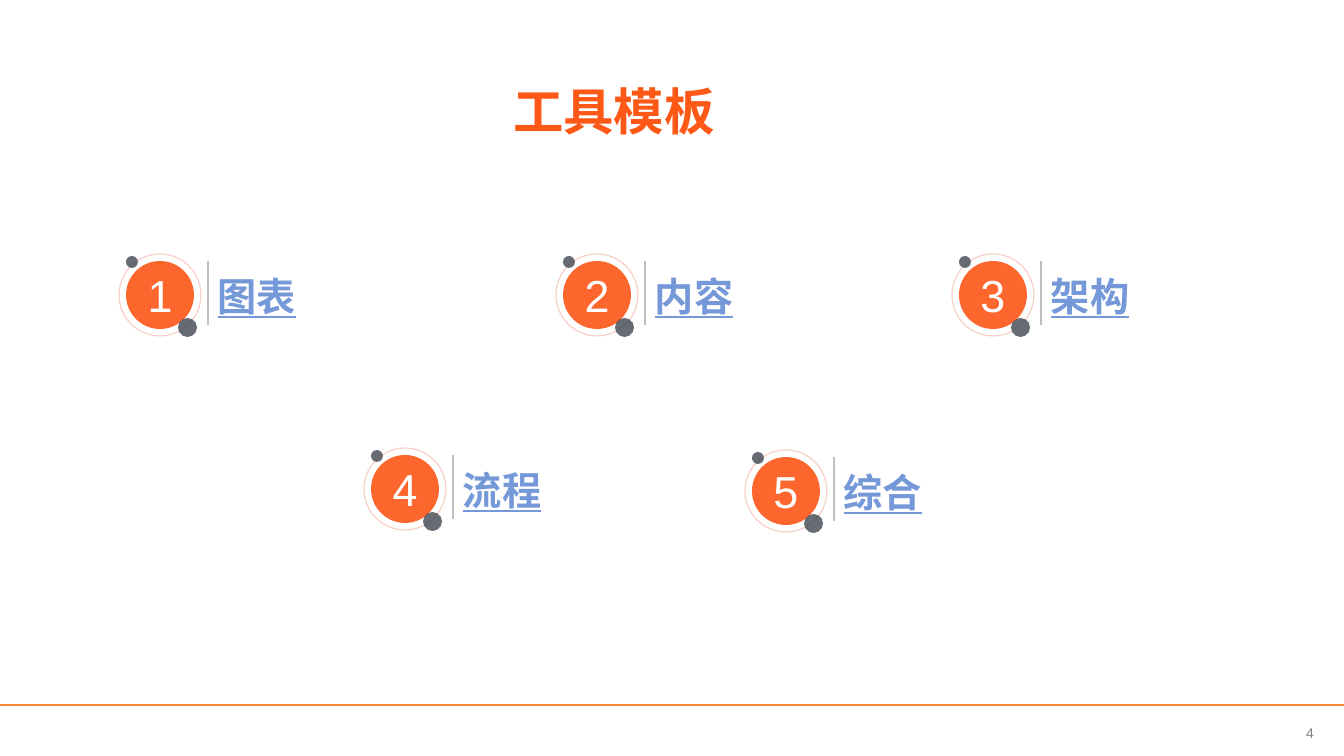
from lxml import etree
from pptx import Presentation
from pptx import util as u
from pptx.dml.color import RGBColor
from pptx.enum import shapes, text
from pptx.oxml import ns

PX = 9144000 / 1008
ORANGE = RGBColor(0xFD, 0x67, 0x2D)
TITLE = RGBColor(0xFE, 0x58, 0x17)
RULE = RGBColor(0xFE, 0x86, 0x37)
PINK = RGBColor(0xF8, 0xCF, 0xC8)
SLATE = RGBColor(0x41, 0x47, 0x52)
BLUE = RGBColor(0x75, 0x98, 0xD9)
SILVER = RGBColor(0xBF, 0xBF, 0xBF)
GRAY = RGBColor(0x80, 0x80, 0x80)
WHITE = RGBColor(0xFF, 0xFF, 0xFF)
CJK = "Noto Sans CJK SC"
MID = text.PP_ALIGN.CENTER

deck = Presentation()
deck.slide_width, deck.slide_height = u.Emu(12192000), u.Emu(6858000)
slide = deck.slides.add_slide(deck.slide_layouts[6])


def px(*nums):
    return [u.Emu(round(n * PX)) for n in nums]


def write(shape, words, size, color, align=MID, face="Arial", **style):
    frame = shape.text_frame
    para = frame.paragraphs[0]
    para.alignment = align
    run = para.add_run()
    run.text = words
    font = run.font
    font.color.rgb = color
    for key, val in dict(name=face, size=u.Pt(size), **style).items():
        setattr(font, key, val)
    if face == CJK:
        east = etree.SubElement(run._r.get_or_add_rPr(), ns.qn("a:ea"))
        east.set("typeface", CJK)
    return frame


lines = [(0, 705, 1344, 705, RULE)]
number = slide.shapes.add_textbox(*px(1276, 710, 68, 46))
frame = write(number, "4", 10, GRAY)
frame.vertical_anchor = text.MSO_ANCHOR.MIDDLE
for side in ("left", "top", "right", "bottom"):
    setattr(frame, "margin_" + side, 0)

title = slide.shapes.add_textbox(*px(502, 75, 224, 71))
write(title, "工具模板", 36, TITLE, face=CJK, bold=True).word_wrap = False

items = [
    (119, 254, "图表"),
    (556, 254, "内容"),
    (952, 254, "架构"),
    (364, 448, "流程"),
    (745, 450, "综合"),
]
ovals = [
    (7, 7, 68, ORANGE, None),
    (0, 0, 82, None, PINK),
    (59, 64, 19, SLATE, None),
    (7, 2, 12, SLATE, None),
]
for index, (left, top, label) in enumerate(items, 1):
    badge = slide.shapes.add_group_shape()
    for x, y, size, fill, edge in ovals:
        oval = badge.shapes.add_shape(
            shapes.MSO_SHAPE.OVAL, *px(left + x, top + y, size, size))
        oval.shadow.inherit = False
        if fill:
            oval.fill.solid()
            oval.fill.fore_color.rgb = fill
            oval.line.fill.background()
        else:
            oval.fill.background()
            oval.line.color.rgb = edge
            oval.line.width = u.Pt(0.85)
        if fill == ORANGE:
            frame = write(oval, str(index), 32, WHITE)
            frame.vertical_anchor = text.MSO_ANCHOR.MIDDLE
        elif fill == SLATE:
            tint = oval._element.spPr.find(".//" + ns.qn("a:srgbClr"))
            etree.SubElement(tint, ns.qn("a:alpha")).set("val", "80000")
    box = slide.shapes.add_textbox(*px(left + 89, top + 13, 249, 57))
    write(box, label, 28, BLUE, text.PP_ALIGN.JUSTIFY, CJK,
          bold=True, underline=True).word_wrap = True
    lines.append((left + 89, top + 7, left + 89, top + 71, SILVER))

for *ends, color in lines:
    line = slide.shapes.add_connector(shapes.MSO_CONNECTOR.STRAIGHT, *px(*ends))
    line.line.color.rgb = color
    line.line.width = u.Pt(1)
    etree.SubElement(line._element.spPr, ns.qn("a:effectLst"))

deck.save("out.pptx")
